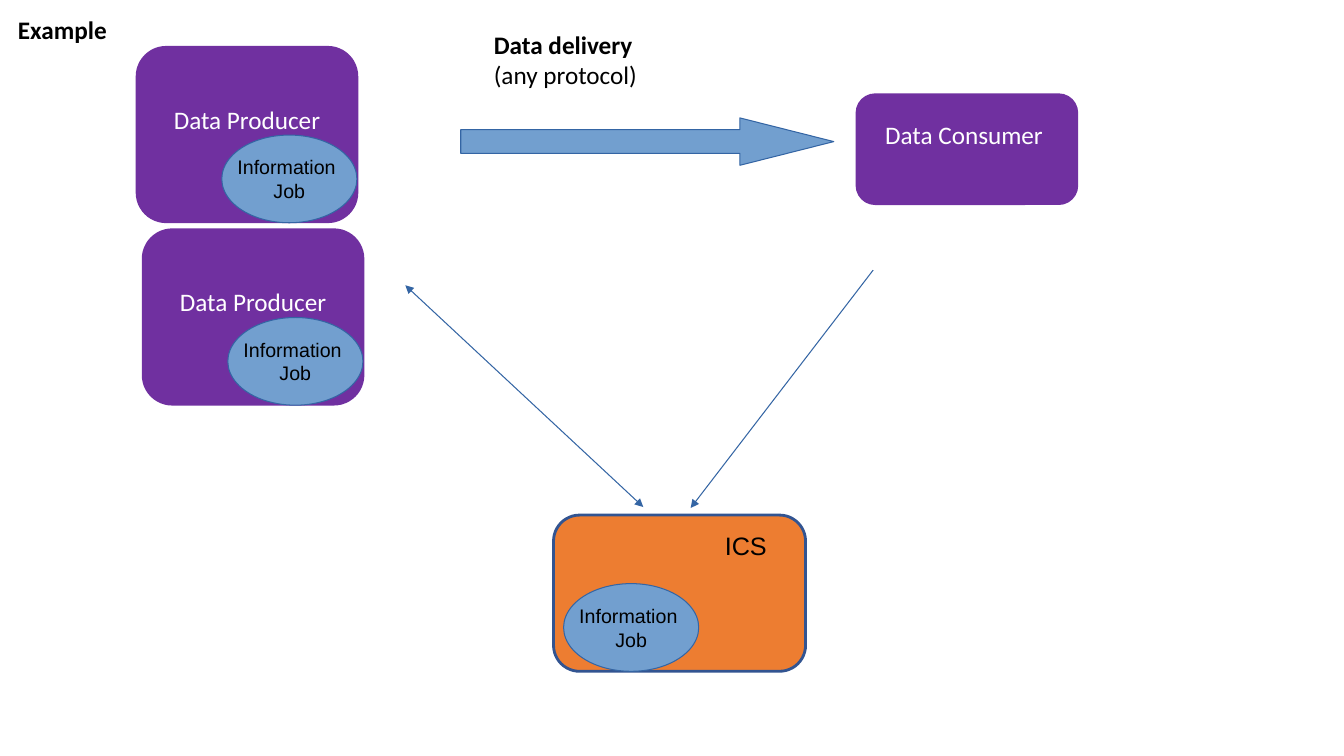
import dataclasses

import pptx
import pptx.dml.color
import pptx.enum.shapes
import pptx.enum.text
import pptx.util
from lxml import etree
from pptx.oxml import ns

PX = 9144  # EMU per px, 100 px to the inch
SHAPE = pptx.enum.shapes.MSO_SHAPE
ALIGN = pptx.enum.text.PP_ALIGN
ANCHOR = pptx.enum.text.MSO_ANCHOR


@dataclasses.dataclass(frozen=True)
class Theme:
    purple: str = "7030A0"
    orange: str = "ED7D31"
    orange_edge: str = "325491"
    blue: str = "729FCF"
    blue_edge: str = "3465A4"
    black: str = "000000"
    white: str = "FFFFFF"
    body: str = "Calibri"
    plain: str = "Arial"
    large: int = 18
    small: int = 14
    thin: float = 0.75
    thick: float = 2


def rgb(value):
    return pptx.dml.color.RGBColor.from_string(value)


def add_text(p, text, *, font, size, color, bold=False, align=None):
    p.alignment = align
    r = p.add_run()
    r.text = text
    r.font.name = font
    r.font.size = pptx.util.Pt(size)
    r.font.bold = bold
    r.font.color.rgb = rgb(color)


class Diagram:
    def __init__(self, slide, theme):
        self.s = slide
        self.theme = theme

    def shape(self, kind, box, fill, edge, width):
        sp = self.s.shapes.add_shape(kind, *(v * PX for v in box))
        sp.shadow.inherit = False
        sp.fill.solid()
        sp.fill.fore_color.rgb = rgb(fill)
        sp.line.color.rgb = rgb(edge)
        sp.line.width = pptx.util.Pt(width)
        return sp

    def lines(self, tf, texts, bold_first=False, **style):
        for i, text in enumerate(texts):
            p = tf.add_paragraph() if i else tf.paragraphs[0]
            add_text(p, text, bold=bold_first and i == 0, **style)

    def party(self, text, box):
        """Purple box whose text sits half a line above the middle."""
        t = self.theme
        sp = self.shape(SHAPE.ROUNDED_RECTANGLE, box, t.purple, t.purple, t.thick)
        tf = sp.text_frame
        tf.word_wrap = True
        tf.vertical_anchor = ANCHOR.MIDDLE
        tf.margin_bottom = 35 * PX
        self.lines(tf, [text], font=t.body, size=t.large, color=t.white,
                   align=ALIGN.CENTER)

    def job(self, left, top):
        t = self.theme
        sp = self.shape(SHAPE.OVAL, (left, top, 134, 87), t.blue, t.blue_edge, t.thin)
        tf = sp.text_frame
        tf.word_wrap = False
        tf.vertical_anchor = ANCHOR.MIDDLE
        self.lines(tf, ["Information ", "Job"], font=t.plain, size=t.small,
                   color=t.black, align=ALIGN.CENTER)

    def producer(self, left, top):
        self.party("Data Producer", (left, top, 218, 173))
        self.job(left + 84, top + 87)

    def label(self, texts, box, font, bold_first=False):
        t = self.theme
        tf = self.s.shapes.add_textbox(*(v * PX for v in box)).text_frame
        tf.word_wrap = True
        self.lines(tf, texts, bold_first, font=font, size=t.large, color=t.black)

    def block_arrow(self, box):
        t = self.theme
        sp = self.shape(SHAPE.RIGHT_ARROW, box, t.blue, t.blue_edge, t.thin)
        sp.adjustments[0] = 0.5
        sp.adjustments[1] = 1.98

    def arrow(self, start, end, ends=("tailEnd",)):
        cx = self.s.shapes.add_connector(
            pptx.enum.shapes.MSO_CONNECTOR.STRAIGHT,
            *(v * PX for v in start + end))
        cx.line.color.rgb = rgb(self.theme.blue_edge)
        cx.line.width = pptx.util.Pt(self.theme.thin)
        ln = cx.line._get_or_add_ln()
        for name in ends:
            etree.SubElement(ln, ns.qn("a:" + name), type="triangle")
        etree.SubElement(ln.getparent(), ns.qn("a:effectLst"))


def main():
    prs = pptx.Presentation()
    prs.slide_width, prs.slide_height = 1333 * PX, 750 * PX
    t = Theme()
    d = Diagram(prs.slides.add_slide(prs.slide_layouts[6]), t)

    d.label(["Example"], (8, 9, 244, 40), t.body, bold_first=True)
    d.party("Data Consumer ", (850, 94, 218, 108))
    d.block_arrow((457, 117, 370, 47))
    d.arrow((866, 268), (685, 504))
    d.arrow((402, 283), (638, 503), ends=("headEnd", "tailEnd"))
    d.shape(SHAPE.ROUNDED_RECTANGLE, (549, 511, 250, 155),
            t.orange, t.orange_edge, t.thick)
    d.label(["Data delivery", "(any protocol)"], (480, 24, 244, 70), t.body,
            bold_first=True)
    d.producer(142, 228)
    d.producer(136, 47)
    d.job(559, 579)
    d.label(["ICS"], (709, 521, 118, 38), t.plain)

    prs.save("out.pptx")


if __name__ == "__main__":
    main()
